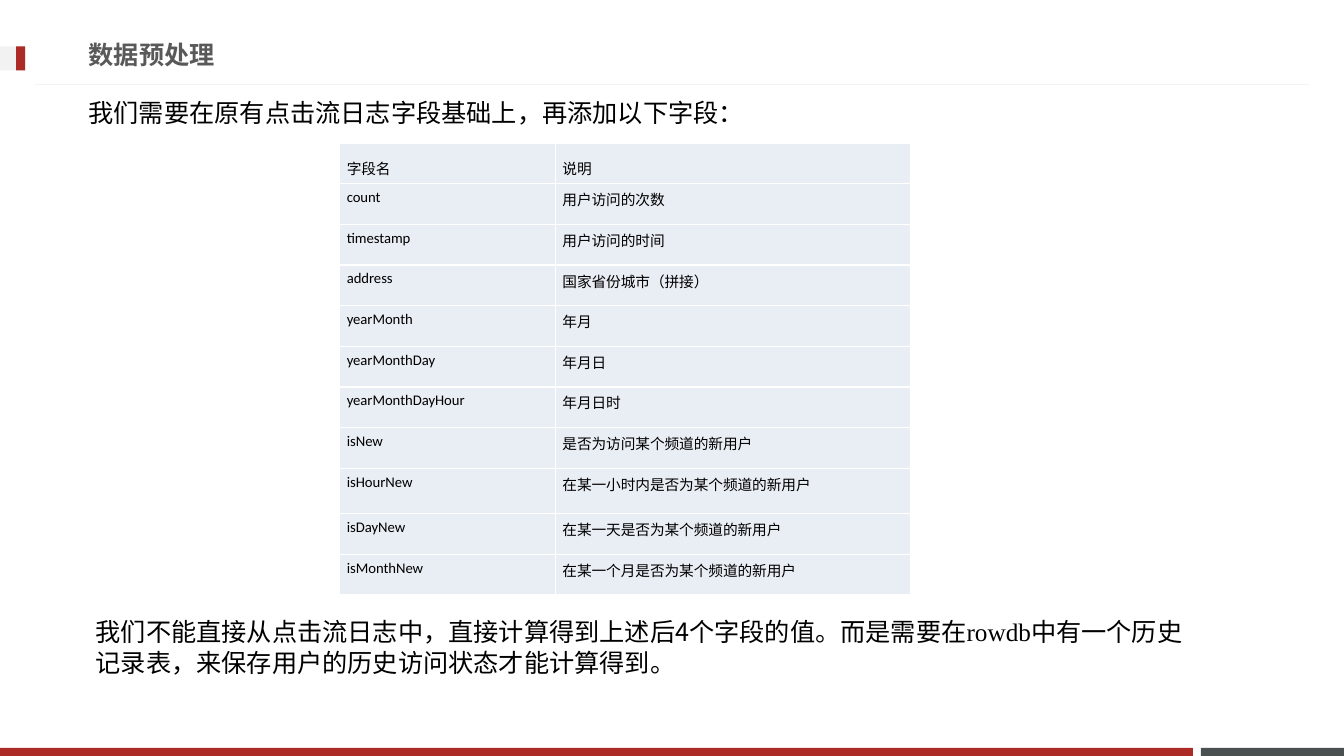
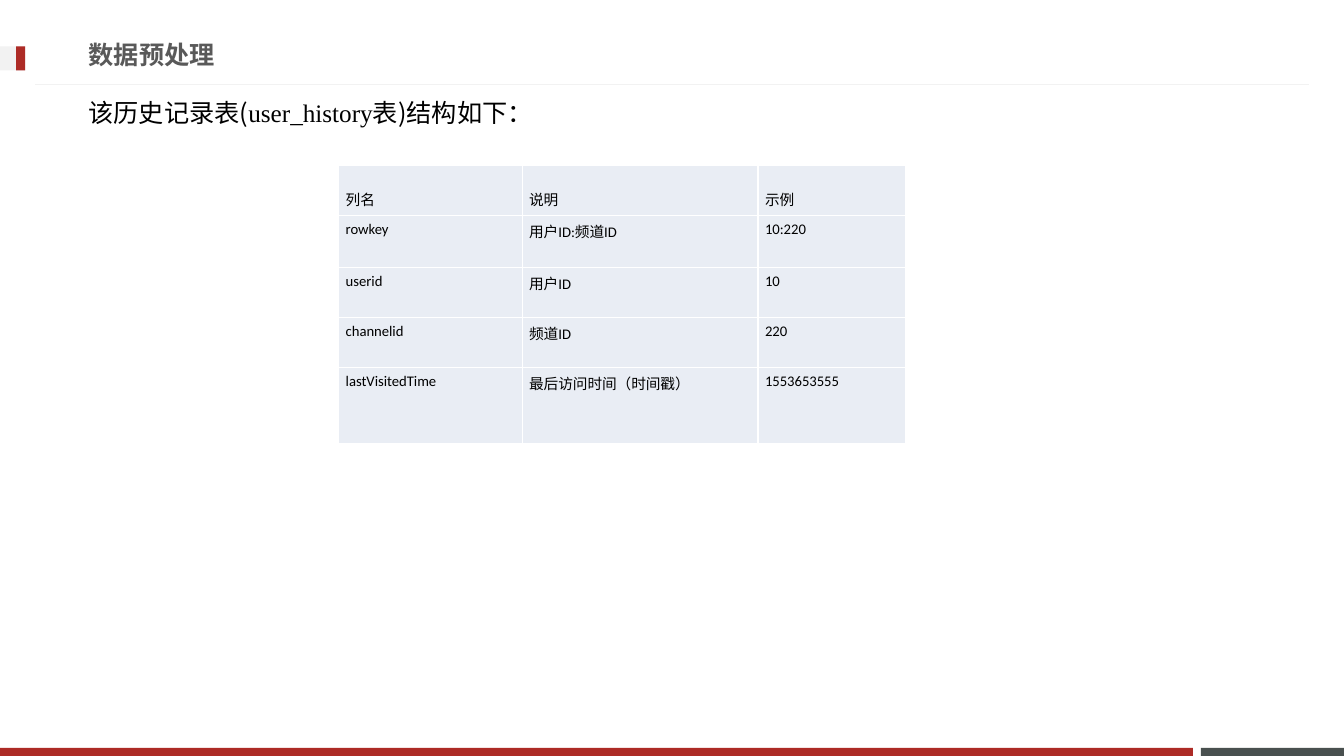
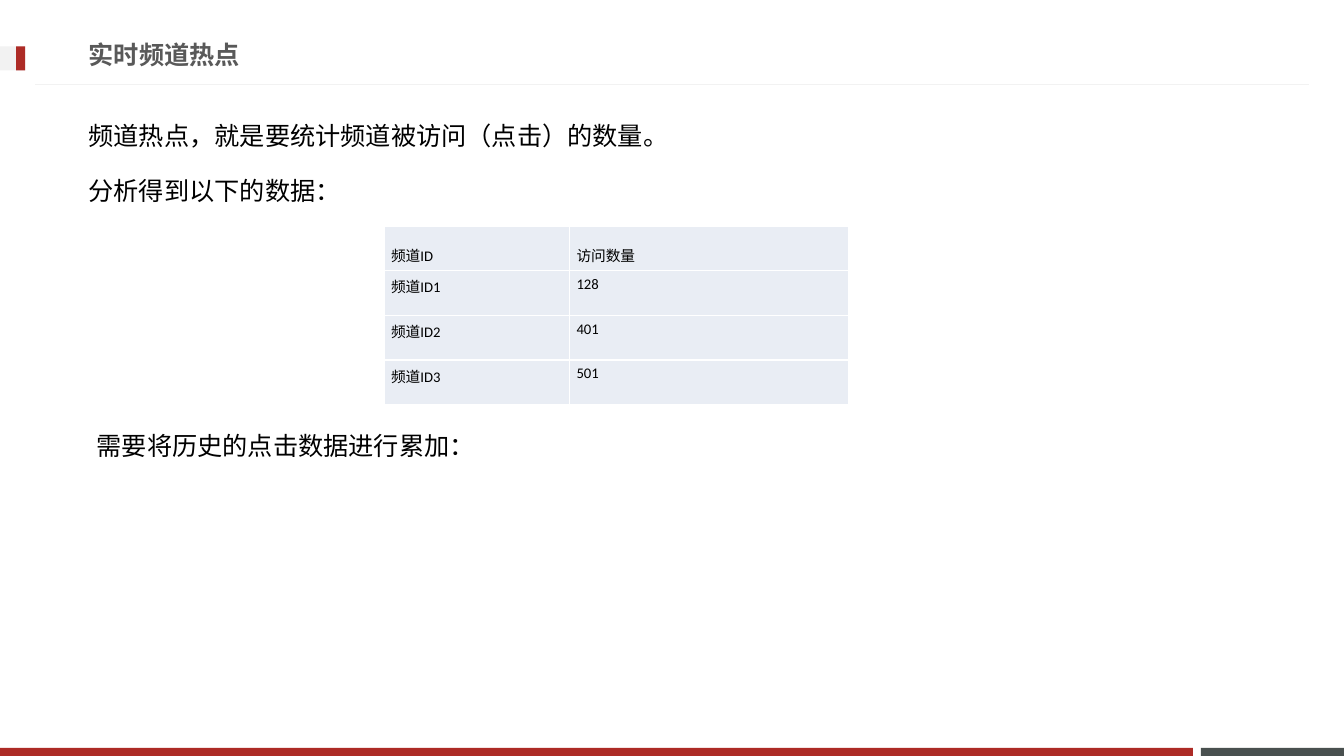
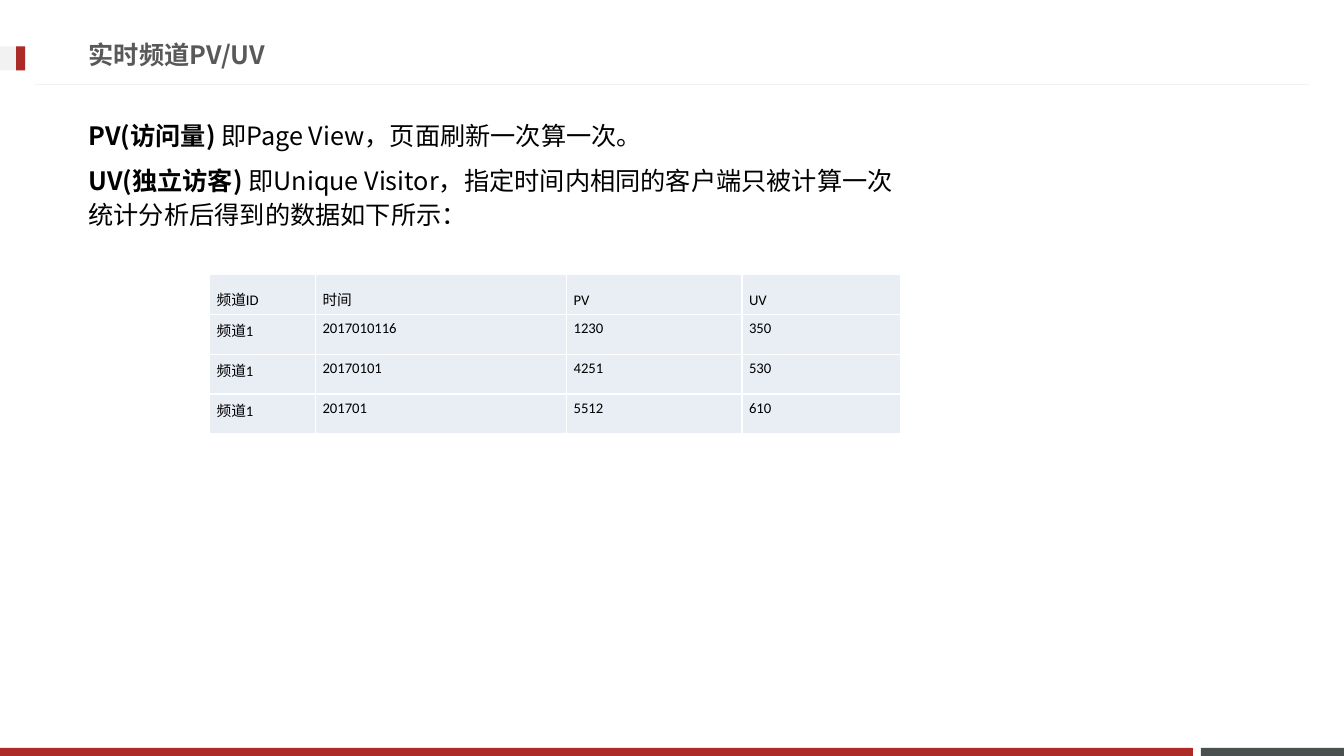
from pptx import Presentation
from pptx.dml.color import RGBColor as RGB
from pptx.enum.shapes import MSO_CONNECTOR as Conn, MSO_SHAPE as Geo
from pptx.enum.text import MSO_ANCHOR as Anchor, MSO_AUTO_SIZE as Fit, PP_ALIGN as Align
from pptx.oxml.ns import qn
from pptx.util import Inches, Pt
from lxml.etree import SubElement as Sub

# Shared look
HUES = {"red": "AD2B26", "slate": "49504F", "pale": "F2F2F2", "title": "595959",
        "ink": "000000", "cell": "E9EDF4", "white": "FFFFFF"}
SANS, SERIF, GRID = "Noto Sans CJK SC", "Times New Roman", "Calibri"
WIDE, HIGH = Inches(13.33), Inches(7.5)
LEFT = 5.85


def hue(name):
    return RGB.from_string(HUES[name])


def across(share):
    """Percent of the slide's width."""
    return round(WIDE * share / 100)


def down(share):
    """Percent of the slide's height."""
    return round(HIGH * share / 100)


def area(x, y, w, h):
    return across(x), down(y), across(w), down(h)


# Text
def add_run(para, text, size=18, font=SANS, color="ink", bold=False):
    run = para.add_run()
    run.text = text
    face = run.font
    face.size, face.name, face.bold = Pt(size), font, bold
    face.color.rgb = hue(color)
    Sub(face._element, qn("a:ea")).set("typeface", SANS)


def space(para, gap):
    para.space_before = para.space_after = Pt(gap)


def add_text(slide, box, *paras):
    """Each paragraph is its gap in points, then (text, style) runs."""
    frame = slide.shapes.add_textbox(*area(*box)).text_frame
    frame.word_wrap = True
    frame.auto_size = Fit.SHAPE_TO_FIT_TEXT
    for i, (gap, *runs) in enumerate(paras):
        para = frame.add_paragraph() if i else frame.paragraphs[0]
        space(para, gap)
        for text, style in runs:
            add_run(para, text, **style)


# Tables
def edge(cell):
    props = cell._tc.get_or_add_tcPr()
    for i, side in enumerate(("lnL", "lnR", "lnT", "lnB")):
        line = props.makeelement(qn("a:" + side), {"w": str(Pt(1))})
        fill = Sub(line, qn("a:solidFill"))
        Sub(fill, qn("a:srgbClr")).set("val", HUES["white"])
        props.insert(i, line)


def add_grid(slide, x, y, cols, rows, data):
    box = area(x, y, sum(cols), sum(rows))
    table = slide.shapes.add_table(len(rows), len(cols), *box).table
    table.first_row = table.horz_banding = False
    for col, w in zip(table.columns, cols):
        col.width = across(w)
    for r, (row, h, texts) in enumerate(zip(table.rows, rows, data)):
        row.height = down(h)
        for cell, text in zip(row.cells, texts):
            cell.fill.solid()
            cell.fill.fore_color.rgb = hue("cell")
            cell.margin_left = cell.margin_right = Inches(0.07)
            cell.margin_top = cell.margin_bottom = Inches(0.05)
            cell.vertical_anchor = Anchor.TOP if r else Anchor.BOTTOM
            para = cell.text_frame.paragraphs[0]
            space(para, 1.8)
            add_run(para, text, 10.5, GRID)
            edge(cell)


# Bands, rule and tab, kept on the layout
def add_band(slide, color, *box):
    band = slide.shapes.add_shape(Geo.RECTANGLE, *area(*box))
    band.shadow.inherit = False
    band.fill.solid()
    band.fill.fore_color.rgb = hue(color)
    band.line.fill.background()
    return band


def add_rule(slide):
    rule = slide.shapes.add_connector(
        Conn.STRAIGHT, across(97.38), down(11.2), across(2.63), down(11.2))
    rule.line.color.rgb = hue("pale")
    rule.line.width = Pt(0.75)
    Sub(rule.element.spPr, qn("a:effectLst"))
    return rule


def dress(layout, slide):
    """Draw the shared parts on a slide, then move them to its layout."""
    parts = [
        add_band(slide, "slate", 89.35, 98.93, 10.65, 1.07),
        add_band(slide, "red", 0, 98.93, 88.75, 1.07),
        add_rule(slide),
        add_band(slide, "pale", 0, 6.13, 1.88, 3.2),
        add_band(slide, "red", 1.2, 6.13, 0.68, 3.2),
    ]
    for i, part in enumerate(parts, 20):
        part.element.xpath(".//p:cNvPr")[0].set("id", str(i))
        layout.shapes.element.append(part.element)


def add_page(prs, layout, title):
    slide = prs.slides.add_slide(layout)
    head = slide.shapes.title
    head.left, head.top, head.width, head.height = area(LEFT, 3.4, 71.94, 7.6)
    head.text_frame.vertical_anchor = Anchor.MIDDLE
    para = head.text_frame.paragraphs[0]
    para.alignment = Align.LEFT
    space(para, 1.5)
    add_run(para, title, color="title", bold=True)
    return slide


# Slides
def show_fields(slide):
    add_text(slide, (LEFT, 12.27, 50, 5.33),
             (1.5, ("我们需要在原有点击流日志字段基础上，再添加以下字段：", {})))
    add_grid(slide, 25.28, 18.93, [16.05, 26.4], [5.38] * 8 + [6] + [5.38] * 2, [
        ("字段名", "说明"),
        ("count", "用户访问的次数"),
        ("timestamp", "用户访问的时间"),
        ("address", "国家省份城市（拼接）"),
        ("yearMonth", "年月"),
        ("yearMonthDay", "年月日"),
        ("yearMonthDayHour", "年月日时"),
        ("isNew", "是否为访问某个频道的新用户"),
        ("isHourNew", "在某一小时内是否为某个频道的新用户"),
        ("isDayNew", "在某一天是否为某个频道的新用户"),
        ("isMonthNew", "在某一个月是否为某个频道的新用户"),
    ])
    add_text(slide, (6.38, 80.93, 83.4, 9.47),
             (1.5, ("我们不能直接从点击流日志中，直接计算得到上述后4个字段的值。而是需要在", {}),
              ("rowdb", {"font": SERIF}),
              ("中有一个历史记录表，来保存用户的历史访问状态才能计算得到。", {})))


def show_past(slide):
    add_text(slide, (LEFT, 12.27, 50, 5.33),
             (1.5, ("该历史记录表(", {}), ("user_history", {"font": SERIF}),
              ("表)结构如下：", {})))
    add_grid(slide, 25.2, 21.87, [13.65, 17.55, 10.95], [6.6, 6.93, 6.6, 6.6, 10.13], [
        ("列名", "说明", "示例"),
        ("rowkey", "用户ID:频道ID", "10:220"),
        ("userid", "用户ID", "10"),
        ("channelid", "频道ID", "220"),
        ("lastVisitedTime", "最后访问时间（时间戳）", "1553653555"),
    ])


def show_heat(slide):
    add_text(slide, (LEFT, 15.2, 85, 13.07),
             (9, ("频道热点，就是要统计频道被访问（点击）的数量。", {})),
             (9, ("分析得到以下的数据：", {})))
    add_grid(slide, 28.58, 29.93, [13.8, 20.78], [5.9] * 4, [
        ("频道ID", "访问数量"),
        ("频道ID1", "128"),
        ("频道ID2", "401"),
        ("频道ID3", "501"),
    ])
    add_text(slide, (6.45, 56.27, 50, 5.33),
             (1.5, ("需要将历史的点击数据进行累加：", {})))


def show_views(slide):
    bold = {"bold": True}
    add_text(slide, (LEFT, 15.2, 85, 21.07),
             (9, ("PV(访问量) ", bold), ("即Page View，页面刷新一次算一次。", {})),
             (1.5, ("UV(独立访客) ", bold),
              ("即Unique Visitor，指定时间内相同的客户端只被计算一次", {})),
             (1.5, ("统计分析后得到的数据如下所示：", {})))
    add_grid(slide, 15.6, 36.33, [7.88, 18.68, 13.05, 11.78], [5.27] * 4, [
        ("频道ID", "时间", "PV", "UV"),
        ("频道1", "2017010116", "1230", "350"),
        ("频道1", "20170101", "4251", "530"),
        ("频道1", "201701", "5512", "610"),
    ])


def main():
    prs = Presentation()
    prs.slide_width, prs.slide_height = WIDE, HIGH
    layout = prs.slide_layouts.get_by_name("Title Only")
    pages = [("数据预处理", show_fields), ("数据预处理", show_past),
             ("实时频道热点", show_heat), ("实时频道PV/UV", show_views)]
    for title, show in pages:
        show(add_page(prs, layout, title))
    dress(layout, prs.slides[0])
    prs.save("out.pptx")


if __name__ == "__main__":
    main()
